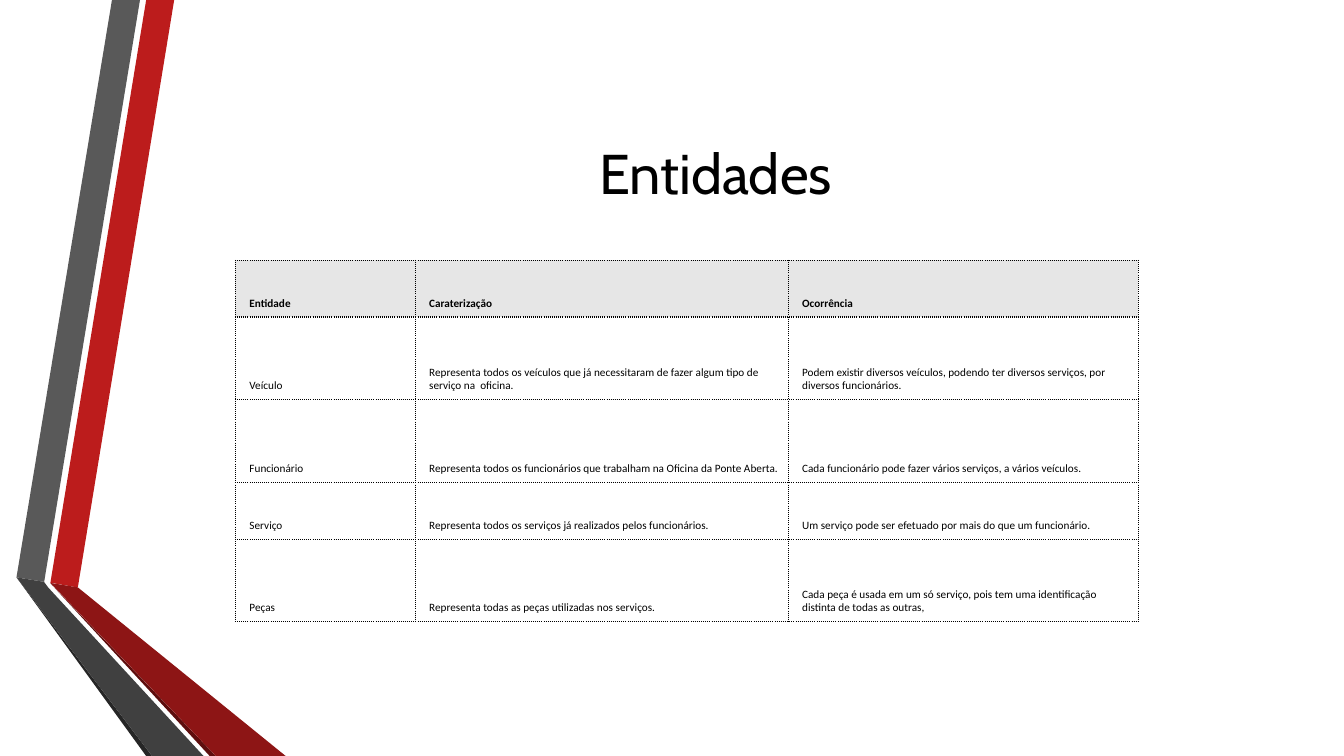
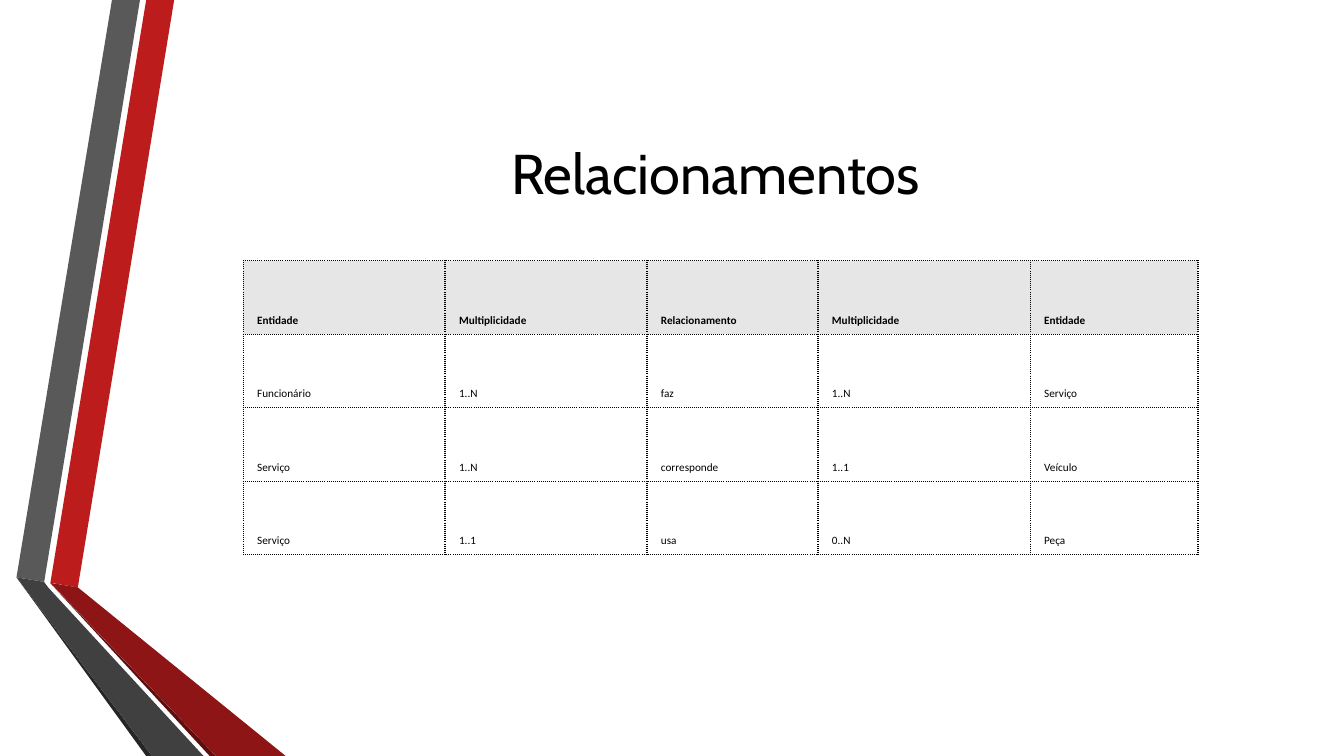
import pptx
import pptx.dml.color
import pptx.enum.text
import pptx.oxml
import pptx.oxml.ns
import pptx.util

Pt = pptx.util.Pt

BORDER_XML = (
    '<a:{side} {ns} w="{width}"><a:solidFill><a:srgbClr val="{color}"/></a:solidFill>'
    '<a:prstDash val="dot"/></a:{side}>'
)


def rgb(color):
    return pptx.dml.color.RGBColor.from_string(color)


class Deck:
    """The shared style and the slide being drawn."""

    INK = "000000"
    HEADER_FILL = "E6E6E6"
    TITLE_FONT, TITLE_SIZE = "Cabin", 40
    TABLE_FONT, TABLE_SIZE = "Calibri", 8
    CELL_INSET = 5
    RIBBONS = [
        ("BC1C1C", [(36, 416.2), (55.6, 419.6), (124.4, 0), (104.4, 0)]),
        ("595959", [(100, 0), (80, 0), (11.8, 412.4), (31.6, 415.6)]),
        ("262626", [(11.8, 412.4), (104.4, 540), (108.6, 540)]),
        ("5E0E0E", [(36, 416.6), (149.8, 540), (154.2, 540)]),
        ("8D1515", [(36, 416.4), (154.2, 540), (204, 540), (55.6, 419.6)]),
        ("404040", [(145.4, 540), (34.6, 419.8), (31.4, 415.6), (11.8, 412.4), (108.6, 540)]),
    ]

    def __init__(self):
        self.presentation = pptx.Presentation()
        self.presentation.slide_width = Pt(960)
        self.presentation.slide_height = Pt(540)
        self.slide = None

    def new_slide(self, title):
        self.slide = self.presentation.slides.add_slide(self.presentation.slide_layouts[6])
        for color, corners in self.RIBBONS:
            self.polygon(color, corners)
        self.title(title)

    def polygon(self, color, corners):
        start, *others = [(Pt(x), Pt(y)) for x, y in corners]
        builder = self.slide.shapes.build_freeform(*start)
        builder.add_line_segments(others, close=True)
        shape = builder.convert_to_shape()
        shape.shadow.inherit = False
        shape.fill.solid()
        shape.fill.fore_color.rgb = rgb(color)
        shape.line.fill.background()

    def title(self, text):
        frame = self.slide.shapes.add_textbox(Pt(116.6), Pt(54), Pt(789), Pt(138)).text_frame
        frame.word_wrap = True
        frame.vertical_anchor = pptx.enum.text.MSO_ANCHOR.MIDDLE
        frame.text = text
        frame.paragraphs[0].alignment = pptx.enum.text.PP_ALIGN.CENTER
        self.style_text(frame, self.TITLE_FONT, self.TITLE_SIZE)

    def style_text(self, frame, font_name, size, bold=False):
        for paragraph in frame.paragraphs:
            for run in paragraph.runs:
                run.font.name = font_name
                run.font.size = Pt(size)
                run.font.bold = bold
                run.font.color.rgb = rgb(self.INK)

    def table(self, left, top, widths, heights, rows):
        table = self.slide.shapes.add_table(
            len(heights), len(widths), Pt(left), Pt(top), Pt(sum(widths)), Pt(sum(heights))
        ).table
        table.first_row = table.horz_banding = False
        for column, width in zip(table.columns, widths):
            column.width = Pt(width)
        for row, height in zip(table.rows, heights):
            row.height = Pt(height)
        for r, texts in enumerate(rows):
            for c, text in enumerate(texts):
                self.fill_cell(table.cell(r, c), text, is_header=r == 0)

    def fill_cell(self, cell, text, is_header):
        cell.text_frame.text = text
        cell.text_frame.paragraphs[0]._p.get_or_add_pPr().set("marL", str(Pt(self.CELL_INSET)))
        self.style_text(cell.text_frame, self.TABLE_FONT, self.TABLE_SIZE, is_header)
        cell.vertical_anchor = pptx.enum.text.MSO_ANCHOR.BOTTOM
        cell.margin_left = cell.margin_right = Pt(self.CELL_INSET)
        cell.margin_top = cell.margin_bottom = Pt(self.CELL_INSET)
        if is_header:
            cell.fill.solid()
            cell.fill.fore_color.rgb = rgb(self.HEADER_FILL)
        else:
            cell.fill.background()
        self.border(cell)

    def border(self, cell):
        properties = cell._tc.get_or_add_tcPr()
        for index, side in enumerate(("lnL", "lnR", "lnT", "lnB")):
            line = BORDER_XML.format(
                side=side, ns=pptx.oxml.ns.nsdecls("a"), width=Pt(1), color=self.INK
            )
            properties.insert(index, pptx.oxml.parse_xml(line))


def main():
    deck = Deck()

    deck.new_slide("Entidades")
    short_row, tall_row = 40.5, 59.1
    deck.table(
        168.2, 186, [128.4, 266.4, 250.2],
        [short_row, tall_row, tall_row, short_row, tall_row],
        [
            ("Entidade", "Caraterização", "Ocorrência"),
            ("Veículo",
             "Representa todos os veículos que já necessitaram de fazer algum tipo de serviço na  oficina.",
             "Podem existir diversos veículos, podendo ter diversos serviços, por diversos funcionários."),
            ("Funcionário",
             "Representa todos os funcionários que trabalham na Oficina da Ponte Aberta.",
             "Cada funcionário pode fazer vários serviços, a vários veículos."),
            ("Serviço",
             "Representa todos os serviços já realizados pelos funcionários.",
             "Um serviço pode ser efetuado por mais do que um funcionário."),
            ("Peças",
             "Representa todas as peças utilizadas nos serviços.",
             "Cada peça é usada em um só serviço, pois tem uma identificação distinta de todas as outras,"),
        ],
    )

    deck.new_slide("Relacionamentos")
    deck.table(
        173.7, 186.2, [144.2, 144.2, 122.2, 151.6, 119.8], [52.5] * 4,
        [
            ("Entidade", "Multiplicidade", "Relacionamento", "Multiplicidade", "Entidade"),
            ("Funcionário", "1..N", "faz", "1..N", "Serviço"),
            ("Serviço", "1..N", "corresponde", "1..1", "Veículo"),
            ("Serviço", "1..1", "usa", "0..N", "Peça"),
        ],
    )

    deck.presentation.save("out.pptx")


if __name__ == "__main__":
    main()
